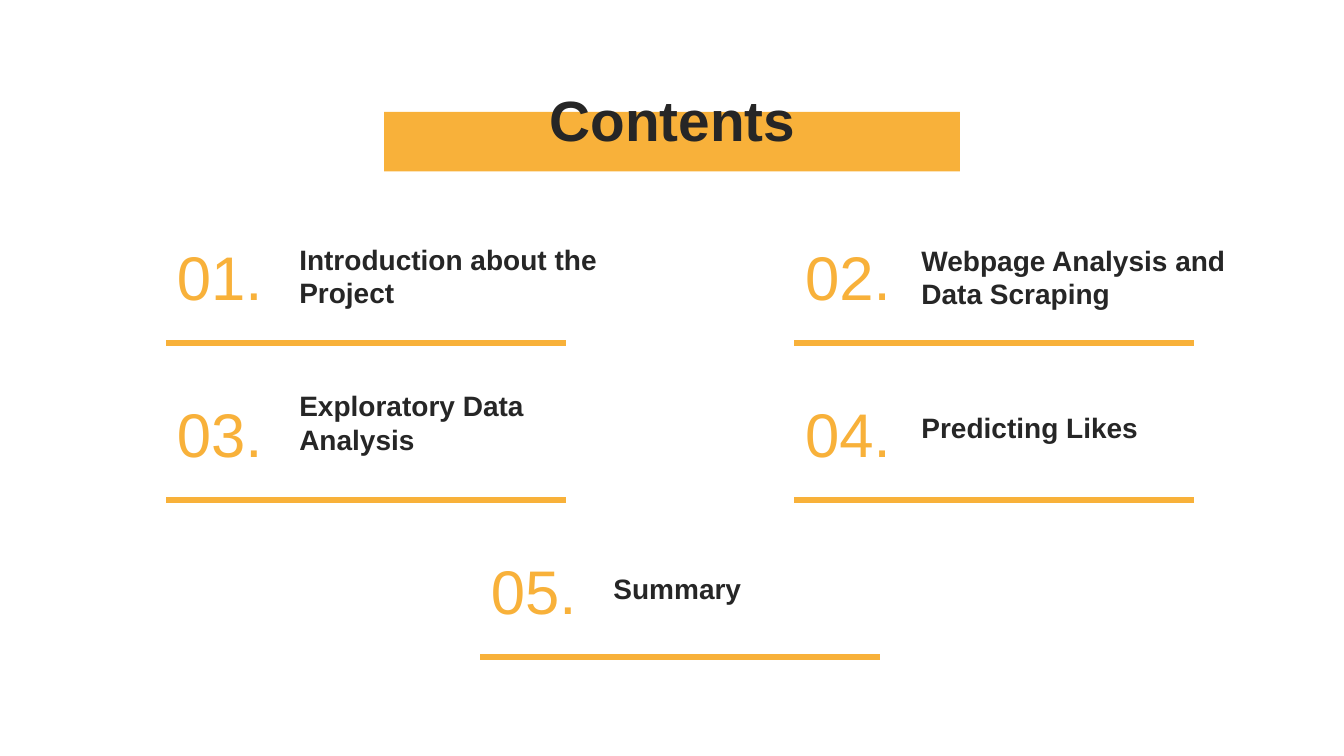
from collections import namedtuple

from lxml import etree
from pptx import Presentation
from pptx.dml.color import RGBColor
from pptx.enum.shapes import MSO_CONNECTOR, MSO_SHAPE
from pptx.enum.text import MSO_ANCHOR, PP_ALIGN
from pptx.oxml.ns import qn
from pptx.util import Inches, Pt

RECTANGLE = MSO_SHAPE.RECTANGLE
STRAIGHT = MSO_CONNECTOR.STRAIGHT
TOP, BOTTOM = MSO_ANCHOR.TOP, MSO_ANCHOR.BOTTOM
LEFT, CENTER = PP_ALIGN.LEFT, PP_ALIGN.CENTER

Box = namedtuple("Box", "left top width height")
Entry = namedtuple("Entry", "title column row label_x label_y")


class Theme:
    accent = RGBColor.from_string("F8B13A")
    ink = RGBColor.from_string("262626")
    font = "Arial"
    title_size = 40.5
    number_size = 44
    label_size = 20
    rule_width = 4.5


SLIDE_WIDTH, SLIDE_HEIGHT = 13.33, 7.5
BANNER = Box(3.81, 1.11, 5.71, 0.59)

# Grid of entries: first cell and the distance to the next column and row
FIRST_CELL = Box(1.65, 2.32, 3.96, 1.08)
COLUMN_PITCH, ROW_PITCH = 6.23, 1.56

# Title, grid column and row, label offset from the cell's corner
ENTRIES = [
    Entry("Introduction about the Project", 0, 0, 1.22, 0.02),
    Entry("Webpage Analysis and Data Scraping", 1, 0, 1.16, 0.03),
    Entry("Exploratory Data Analysis", 0, 1, 1.22, -0.09),
    Entry("Predicting Likes", 1, 1, 1.16, -0.21),
    Entry("Summary", 0.5, 2, 1.22, -0.17),
]


def add_text(slide, box, text, size, color, bold=False, align=LEFT,
             anchor=TOP, bottom_inset=0.05):
    shape = slide.shapes.add_textbox(*map(Inches, box))
    frame_format = {
        "word_wrap": True,
        "vertical_anchor": anchor,
        "margin_bottom": Inches(bottom_inset),
    }
    for name, value in frame_format.items():
        setattr(shape.text_frame, name, value)
    paragraph = shape.text_frame.paragraphs[0]
    paragraph.alignment = align
    run = paragraph.add_run()
    run.text = text
    font_format = {"name": Theme.font, "size": Pt(size), "bold": bold}
    for name, value in font_format.items():
        setattr(run.font, name, value)
    run.font.color.rgb = color


def add_rule(slide, left, right, y):
    rule = slide.shapes.add_connector(
        STRAIGHT, *map(Inches, (left, y, right, y)))
    rule.line.color.rgb = Theme.accent
    rule.line.width = Pt(Theme.rule_width)
    etree.SubElement(rule._element.spPr, qn("a:effectLst"))


def add_heading(slide, box, text):
    # Accent banner
    banner = slide.shapes.add_shape(RECTANGLE, *map(Inches, box))
    banner.shadow.inherit = False
    banner.fill.solid()
    banner.fill.fore_color.rgb = Theme.accent
    banner.line.fill.background()
    # Title, raised so that it rides over the banner's upper edge
    title_box = Box(box.left + 1.49, box.top, 2.74, 1.06)
    add_text(slide, title_box, text, Theme.title_size, Theme.ink, bold=True,
             align=CENTER, anchor=BOTTOM, bottom_inset=0.65)


def add_entry(slide, box, number, entry):
    # Underline
    add_rule(slide, box.left, box.left + box.width, box.top + box.height)
    # Number
    add_text(slide, Box(box.left, box.top, 1.06, 0.84), f"{number:02d}.",
             Theme.number_size, Theme.accent, align=CENTER)
    # Label
    label_box = Box(box.left + entry.label_x, box.top + entry.label_y,
                    3.47, 0.78)
    add_text(slide, label_box, entry.title, Theme.label_size, Theme.ink,
             bold=True, anchor=BOTTOM)


def build_contents(slide):
    add_heading(slide, BANNER, "Contents")
    for number, entry in enumerate(ENTRIES, start=1):
        cell = FIRST_CELL._replace(
            left=FIRST_CELL.left + entry.column * COLUMN_PITCH,
            top=FIRST_CELL.top + entry.row * ROW_PITCH)
        add_entry(slide, cell, number, entry)


def main():
    presentation = Presentation()
    presentation.slide_width = Inches(SLIDE_WIDTH)
    presentation.slide_height = Inches(SLIDE_HEIGHT)
    slide = presentation.slides.add_slide(presentation.slide_layouts[6])
    build_contents(slide)
    presentation.save("out.pptx")


if __name__ == "__main__":
    main()
